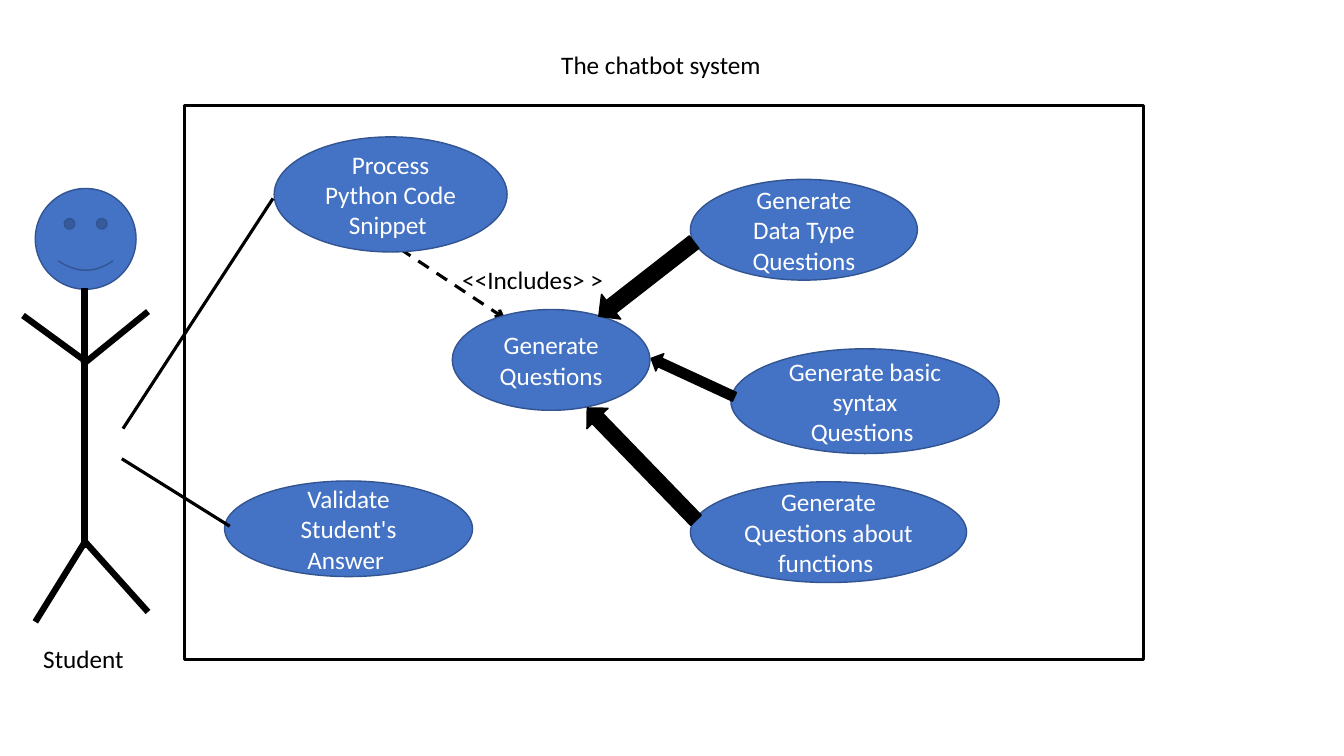
import math
from dataclasses import dataclass

from pptx import Presentation
from pptx.dml.color import RGBColor
from pptx.enum import dml, shapes, text
from pptx.oxml import ns
from pptx.util import Cm, Pt
from lxml import etree


@dataclass(frozen=True)
class Theme:
    """Colours, type and line widths of the diagram."""
    ink: RGBColor = RGBColor(0, 0, 0)
    paper: RGBColor = RGBColor(255, 255, 255)
    blue: RGBColor = RGBColor(0x44, 0x72, 0xC4)
    edge: RGBColor = RGBColor(0x32, 0x54, 0x91)
    font: str = "Calibri"
    size: float = 18
    thin: float = 1
    medium: float = 2.25
    thick: float = 4.5


THEME = Theme()
PRESET = shapes.MSO_SHAPE
NBSP = "\u00a0"


def write(frame, words, color=THEME.ink, align=text.PP_ALIGN.LEFT,
          anchor=text.MSO_ANCHOR.TOP):
    """Put formatted words into a text frame."""
    frame.word_wrap = True
    frame.auto_size = text.MSO_AUTO_SIZE.NONE
    frame.vertical_anchor = anchor
    paragraph = frame.paragraphs[0]
    paragraph.alignment = align
    run = paragraph.add_run()
    run.text = words
    run.font.name = THEME.font
    run.font.size = Pt(THEME.size)
    run.font.color.rgb = color


def add_title(slide, words, box):
    """Move the title placeholder to box and fill it."""
    title = slide.shapes.title
    title.left, title.top, title.width, title.height = map(Cm, box)
    write(title.text_frame, words)


def add_label(slide, words, box):
    """Add plain text in a box."""
    label = slide.shapes.add_textbox(*map(Cm, box))
    write(label.text_frame, words)


def add_figure(slide, preset, box, fill=THEME.blue, line=THEME.edge, width=THEME.thin):
    """Add a preset shape; a fill of None leaves it open."""
    figure = slide.shapes.add_shape(preset, *map(Cm, box))
    figure.shadow.inherit = False
    if fill is None:
        figure.fill.background()
    else:
        figure.fill.solid()
        figure.fill.fore_color.rgb = fill
    figure.line.color.rgb = line
    figure.line.width = Pt(width)
    return figure


def add_use_case(slide, words, box):
    """Add an ellipse that names a use case."""
    ellipse = add_figure(slide, PRESET.OVAL, box)
    write(ellipse.text_frame, words, color=THEME.paper,
          align=text.PP_ALIGN.CENTER, anchor=text.MSO_ANCHOR.MIDDLE)


def add_line(slide, start, end, width=THEME.medium, dashed_arrow=False):
    """Draw a straight line, or a dashed arrow, from start to end."""
    stroke = slide.shapes.add_connector(
        shapes.MSO_CONNECTOR.STRAIGHT, *map(Cm, start + end))
    stroke.line.color.rgb = THEME.ink
    stroke.line.width = Pt(width)
    if dashed_arrow:
        stroke.line.dash_style = dml.MSO_LINE.DASH
        etree.SubElement(stroke.line._get_or_add_ln(), ns.qn("a:tailEnd"), type="arrow")
    etree.SubElement(stroke._element.spPr, ns.qn("a:effectLst"))


def add_generalization(slide, tail, tip, breadth):
    """Draw a block arrow from tail to tip."""
    dx, dy = tip[0] - tail[0], tip[1] - tail[1]
    length = math.hypot(dx, dy)
    left = (tail[0] + tip[0] - breadth) / 2
    top = (tail[1] + tip[1] - length) / 2
    arrow = add_figure(slide, PRESET.UP_ARROW, (left, top, breadth, length),
                       fill=THEME.ink, line=THEME.ink)
    arrow.rotation = math.degrees(math.atan2(dx, -dy)) % 360


def add_student(slide):
    """Draw the stick figure and its caption."""
    add_figure(slide, PRESET.SMILEY_FACE, (0.89, 4.75, 2.54, 2.54))
    limbs = [
        ((2.13, 7.26), (2.13, 13.82)),
        ((3.73, 7.85), (2.08, 9.19)),
        ((2.18, 9.12), (0.58, 7.95)),
        ((2.13, 13.67), (0.89, 15.67)),
        ((2.16, 13.67), (3.73, 15.42)),
    ]
    for start, end in limbs:
        add_line(slide, start, end, width=THEME.thick)
    add_label(slide, "Student" + NBSP, (0.84, 16.08, 2.79, 1.02))


def main():
    """Build the use case diagram."""
    deck = Presentation()
    deck.slide_width, deck.slide_height = Cm(33.87), Cm(19.05)
    slide = deck.slides.add_slide(deck.slide_layouts.get_by_name("Title Only"))

    add_title(slide, "The chatbot system" + NBSP, (13.89, 1.12, 7.62, 1.02))
    add_figure(slide, PRESET.RECTANGLE, (4.65, 2.67, 24.18, 13.94),
               fill=None, line=THEME.ink, width=THEME.medium)
    add_student(slide)

    add_line(slide, (10.08, 6.27), (12.73, 8.03), dashed_arrow=True)
    add_label(slide, f"<<Includes>{NBSP}>", (11.4, 6.53, 5.18, 1.02))

    use_cases = [
        ("Process Python Code Snippet" + NBSP, (6.91, 3.45, 5.87, 2.9)),
        ("Generate Questions", (11.4, 7.8, 4.98, 2.54)),
        ("Validate Student's Answer" + NBSP, (5.66, 12.12, 6.25, 2.41)),
        ("Generate Data Type Questions", (17.4, 4.52, 5.72, 2.54)),
        ("Generate basic syntax Questions" + NBSP, (18.42, 8.79, 6.76, 2.64)),
        ("Generate Questions about functions" + NBSP, (17.4, 12.14, 6.96, 2.54)),
    ]
    for words, box in use_cases:
        add_use_case(slide, words, box)

    associations = [((3.1, 10.8), (6.88, 5)), ((3.07, 11.56), (5.79, 13.26))]
    for student_end, use_case_end in associations:
        add_line(slide, student_end, use_case_end)

    generalizations = [
        ((17.54, 13.11), (14.8, 10.28), 0.74),
        ((18.51, 10), (16.41, 9.03), 0.48),
        ((17.49, 6.1), (15.09, 7.97), 0.79),
    ]
    for tail, tip, breadth in generalizations:
        add_generalization(slide, tail, tip, breadth)

    deck.save("out.pptx")


main()
